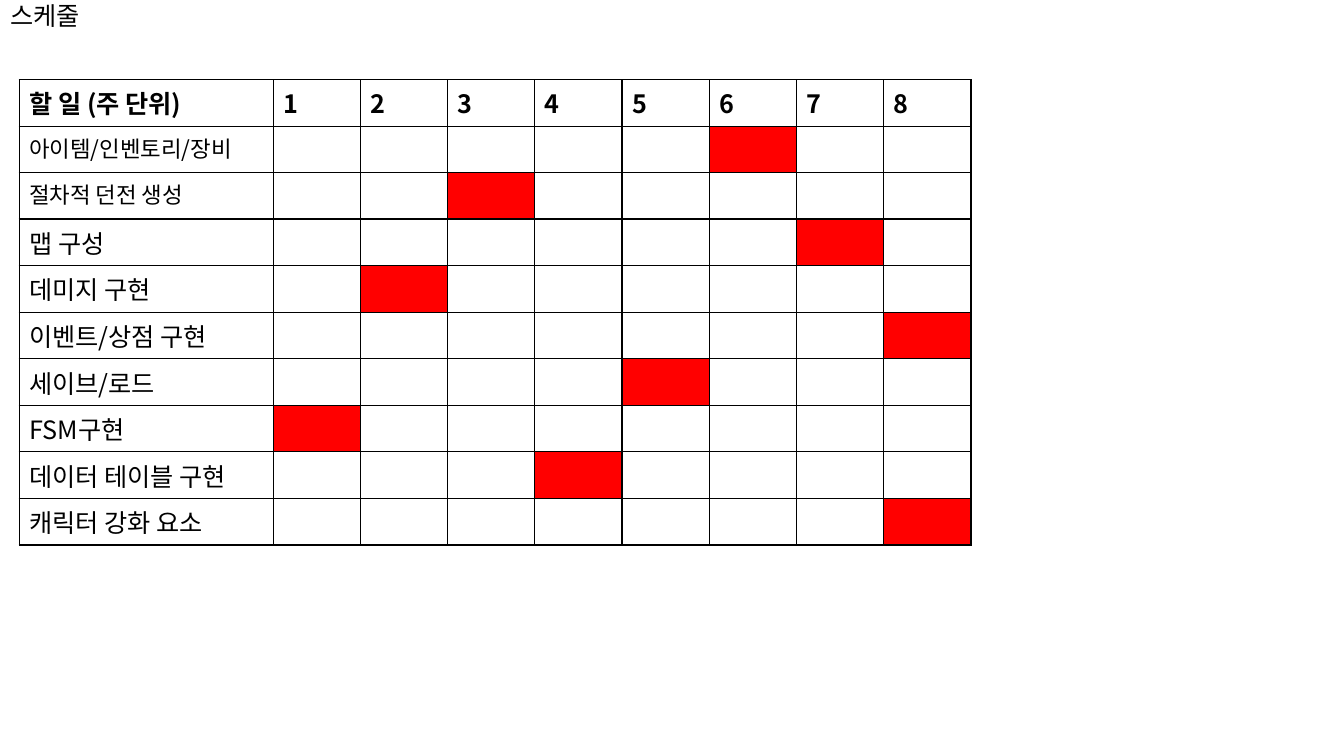
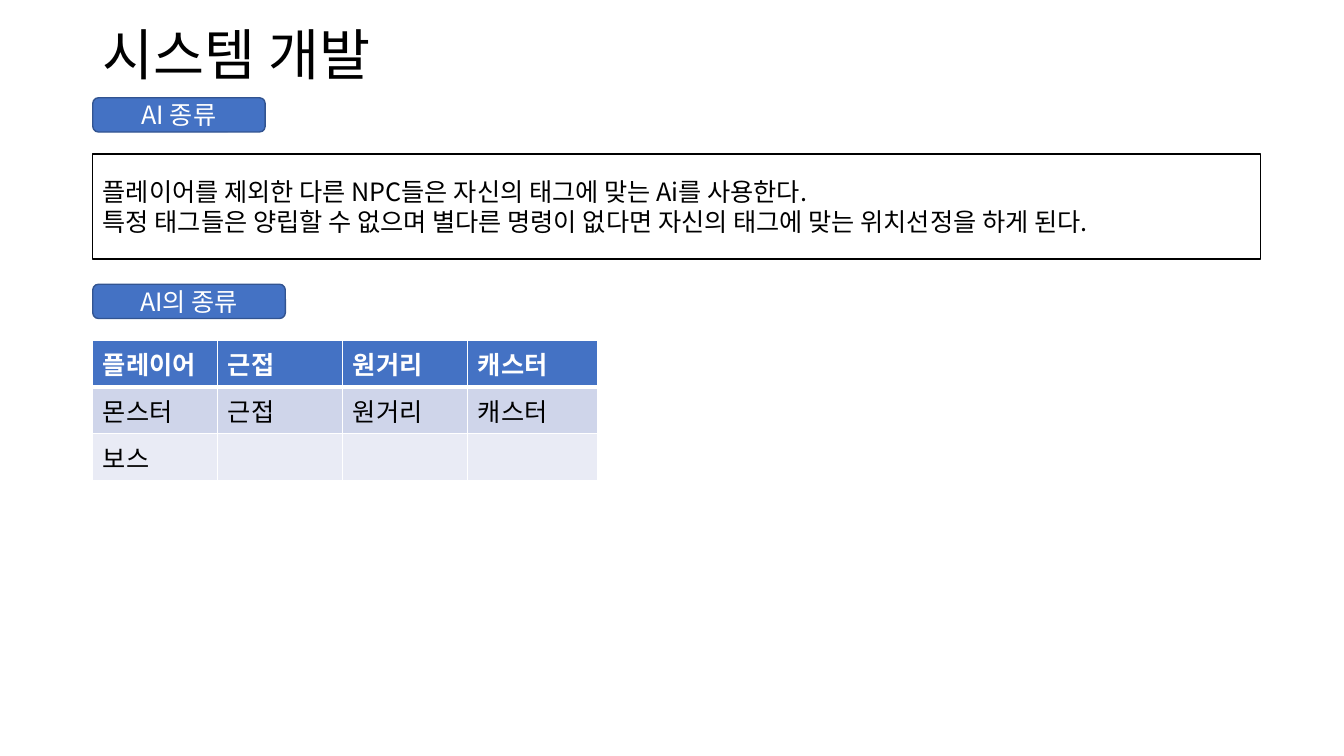
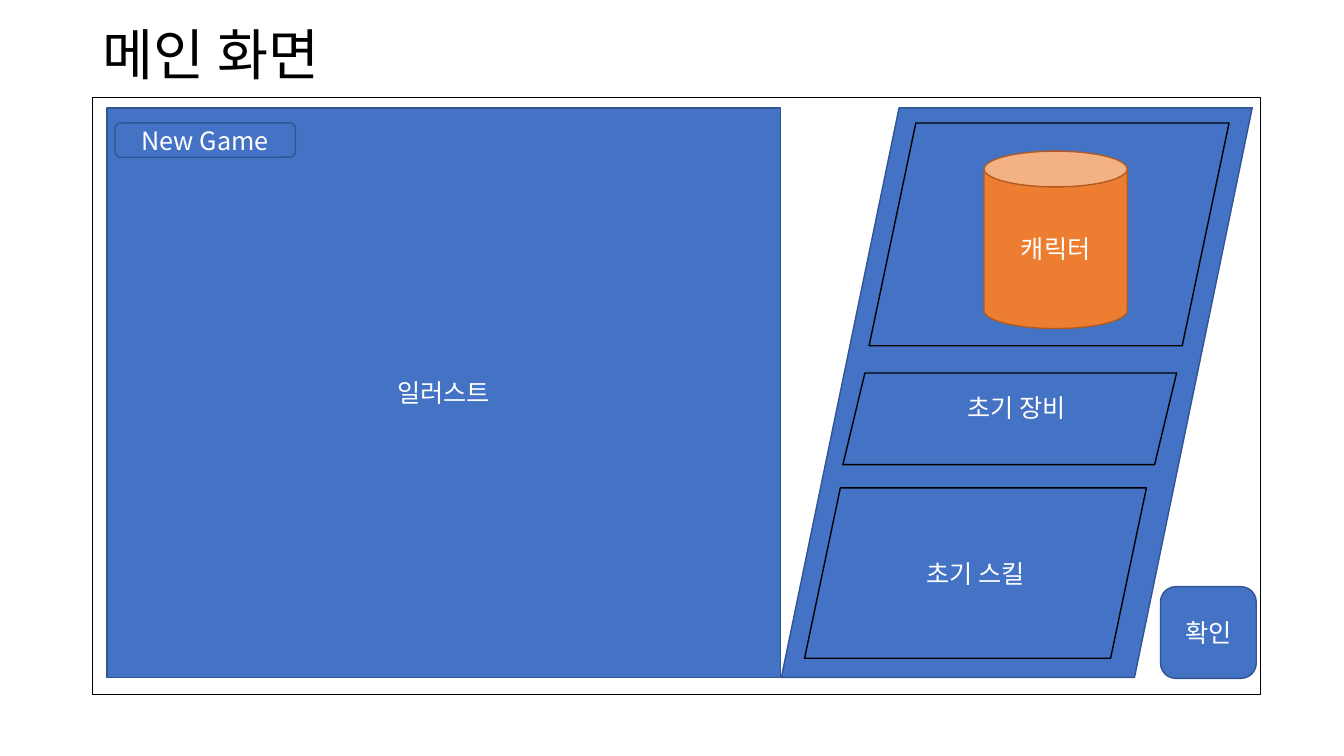
from lxml import etree
from pptx import Presentation
from pptx.dml.color import RGBColor
from pptx.enum.shapes import MSO_SHAPE
from pptx.enum.text import MSO_ANCHOR, MSO_AUTO_SIZE, PP_ALIGN
from pptx.oxml.ns import qn
from pptx.util import Inches, Pt

RECTANGLE = MSO_SHAPE.RECTANGLE
ROUNDED = MSO_SHAPE.ROUNDED_RECTANGLE
PARALLELOGRAM = MSO_SHAPE.PARALLELOGRAM
CAN = MSO_SHAPE.CAN
MIDDLE = MSO_ANCHOR.MIDDLE
NO_AUTOFIT = MSO_AUTO_SIZE.NONE
LEFT, CENTER = PP_ALIGN.LEFT, PP_ALIGN.CENTER

FONT = "Noto Sans CJK KR"
BODY_SIZE = 18
BLACK, WHITE, RED = "000000", "FFFFFF", "FF0000"
BLUE, BLUE_EDGE = "4472C4", "325491"
ORANGE, ORANGE_EDGE = "ED7D31", "AF5C24"
BANDS = ["CFD5EA", "E9EBF5"]

TITLE_ONLY = 5
CONTENT_LEFT, CONTENT_WIDTH = 0.92, 11.58
HEADING_BOX = (CONTENT_LEFT, 0.4, 9.14, 0.35)
ROW_HEIGHT = 0.46

TASKS = [  # name, week, text size
    ("아이템/인벤토리/장비", 6, 16),
    ("절차적 던전 생성", 3, 16),
    ("맵 구성", 7, BODY_SIZE),
    ("데미지 구현", 2, BODY_SIZE),
    ("이벤트/상점 구현", 8, BODY_SIZE),
    ("세이브/로드", 5, BODY_SIZE),
    ("FSM구현", 1, BODY_SIZE),
    ("데이터 테이블 구현", 4, BODY_SIZE),
    ("캐릭터 강화 요소", 8, BODY_SIZE),
]
WEEKS = 8
AI_KINDS = [
    ["플레이어", "근접", "원거리", "캐스터"],
    ["몬스터", "근접", "원거리", "캐스터"],
    ["보스", "", "", ""],
]


def rgb(color):
    return RGBColor.from_string(color)


def add_run(paragraph, text, color=BLACK, size=BODY_SIZE, bold=False):
    run = paragraph.add_run()
    run.text = text
    font = run.font
    font.name, font.size, font.bold = FONT, Pt(size), bold
    font.color.rgb = rgb(color)
    east_asian = etree.SubElement(run._r.get_or_add_rPr(), qn("a:ea"))
    east_asian.set("typeface", FONT)


def add_titled_slide(presentation, text, box=HEADING_BOX, size=39.6):
    slide = presentation.slides.add_slide(presentation.slide_layouts[TITLE_ONLY])
    title = slide.shapes.title
    title.left, title.top, title.width, title.height = map(Inches, box)
    frame = title.text_frame
    frame.word_wrap, frame.auto_size = True, NO_AUTOFIT
    frame.vertical_anchor = MIDDLE
    paragraph = frame.paragraphs[0]
    paragraph.alignment, paragraph.line_spacing = LEFT, 0.9
    add_run(paragraph, text, size=size)
    return slide


def add_box(slide, kind, box, lines=(), fill=BLUE, edge=BLUE_EDGE,
            color=WHITE, align=CENTER, slant=None):
    shape = slide.shapes.add_shape(kind, *map(Inches, box))
    shape.shadow.inherit = False
    if slant is not None:
        shape.adjustments[0] = slant
    if fill:
        shape.fill.solid()
        shape.fill.fore_color.rgb = rgb(fill)
    else:
        shape.fill.background()
    shape.line.color.rgb = rgb(edge)
    shape.line.width = Pt(1)
    frame = shape.text_frame
    frame.word_wrap, frame.vertical_anchor = True, MIDDLE
    for index, line in enumerate(lines):
        paragraph = frame.add_paragraph() if index else frame.paragraphs[0]
        paragraph.alignment = align
        add_run(paragraph, line, color)
    return shape


def add_plain_table(slide, left, top, widths, row_count):
    """Add a table without the banded style."""
    frame = slide.shapes.add_table(
        row_count, len(widths), Inches(left), Inches(top),
        Inches(sum(widths)), Inches(row_count * ROW_HEIGHT))
    table = frame.table
    table.first_row = table.horz_banding = False
    for column, width in zip(table.columns, widths):
        column.width = Inches(width)
    for row in table.rows:
        row.height = Inches(ROW_HEIGHT)
    return table


def format_cell(cell, fill, edge, top=1, bottom=1):
    properties = cell._tc.get_or_add_tcPr()
    for side, points in (("L", 1), ("R", 1), ("T", top), ("B", bottom)):
        line = etree.SubElement(properties, qn(f"a:ln{side}"), w=str(Pt(points)))
        solid = etree.SubElement(line, qn("a:solidFill"))
        etree.SubElement(solid, qn("a:srgbClr"), val=edge)
    cell.fill.solid()
    cell.fill.fore_color.rgb = rgb(fill)


def add_schedule(slide, left, top, width, task_width):
    week_width = (width - task_width) / WEEKS
    table = add_plain_table(slide, left, top,
                            [task_width] + [week_width] * WEEKS, len(TASKS) + 1)
    headings = ["할 일 (주 단위)"] + [str(week + 1) for week in range(WEEKS)]
    for column, heading in enumerate(headings):
        cell = table.cell(0, column)
        format_cell(cell, WHITE, BLACK)
        add_run(cell.text_frame.paragraphs[0], heading, bold=True)
    for row, (task, due_week, size) in enumerate(TASKS, 1):
        for column in range(WEEKS + 1):
            fill = RED if column == due_week else WHITE
            format_cell(table.cell(row, column), fill, BLACK)
        add_run(table.cell(row, 0).text_frame.paragraphs[0], task, size=size)


def add_ai_table(slide, left, top):
    table = add_plain_table(slide, left, top, [1.24, 1.24, 1.24, 1.29], len(AI_KINDS))
    for row, names in enumerate(AI_KINDS):
        header = row == 0
        fill = BLUE if header else BANDS[(row - 1) % 2]
        for column, name in enumerate(names):
            cell = table.cell(row, column)
            format_cell(cell, fill, WHITE, top=3 if row == 1 else 1,
                        bottom=3 if header else 1)
            if name:
                add_run(cell.text_frame.paragraphs[0], name,
                        WHITE if header else BLACK, bold=header)


def add_character_panel(slide, left, top, width, height):
    """Slanted panel with character, equipment and skill areas."""
    panel = add_box(slide, PARALLELOGRAM, (left, top, width, height), ["초기 장비"])
    panel.text_frame.margin_top = Inches(0.35)
    add_box(slide, CAN, (left + 2.01, top + 0.43, 1.42, 1.76), ["캐릭터"],
            ORANGE, ORANGE_EDGE)
    areas = [
        ((0.87, 0.15, 3.57, 2.21), 0.21, []),
        ((0.61, 2.63, 3.31, 0.91), 0.24, []),
        ((0.23, 3.77, 3.39, 1.69), 0.21, ["초기 스킬"]),
    ]
    for (x, y, area_width, area_height), slant, lines in areas:
        add_box(slide, PARALLELOGRAM, (left + x, top + y, area_width, area_height),
                lines, None, BLACK, slant=slant)


def build_schedule_slide(presentation):
    slide = add_titled_slide(presentation, "스케줄", (0, 0, 1.09, 0.35), BODY_SIZE)
    add_schedule(slide, 0.19, 0.79, 9.44, 2.52)


def build_system_slide(presentation):
    slide = add_titled_slide(presentation, "시스템 개발")
    add_box(slide, RECTANGLE, (CONTENT_LEFT, 1.53, CONTENT_WIDTH, 1.04), [
        "플레이어를 제외한 다른 NPC들은 자신의 태그에 맞는 Ai를 사용한다.",
        "특정 태그들은 양립할 수 없으며 별다른 명령이 없다면 자신의 태그에 맞는 위치선정을 하게 된다.",
    ], None, BLACK, BLACK, LEFT)
    # Section labels
    for label, top, width in (("AI 종류", 0.97, 1.71), ("AI의 종류", 2.82, 1.91)):
        add_box(slide, ROUNDED, (CONTENT_LEFT, top, width, 0.34), [label])
    add_ai_table(slide, CONTENT_LEFT, 3.38)


def build_main_screen_slide(presentation):
    slide = add_titled_slide(presentation, "메인 화면")
    top, height = 1.07, 5.65
    add_box(slide, RECTANGLE, (1.06, top, 6.68, height), ["일러스트"])
    # Screen frame
    add_box(slide, RECTANGLE, (CONTENT_LEFT, 0.97, CONTENT_WIDTH, 5.92),
            fill=None, edge=BLACK)
    add_box(slide, ROUNDED, (1.14, 1.22, 1.79, 0.34), ["New Game"])
    add_character_panel(slide, 7.75, top, 4.67, height)
    add_box(slide, ROUNDED, (11.51, 5.82, 0.95, 0.91), ["확인"])


def main():
    presentation = Presentation()
    presentation.slide_width = Inches(13.33)
    presentation.slide_height = Inches(7.5)
    build_schedule_slide(presentation)
    build_system_slide(presentation)
    build_main_screen_slide(presentation)
    presentation.save("out.pptx")


if __name__ == "__main__":
    main()
